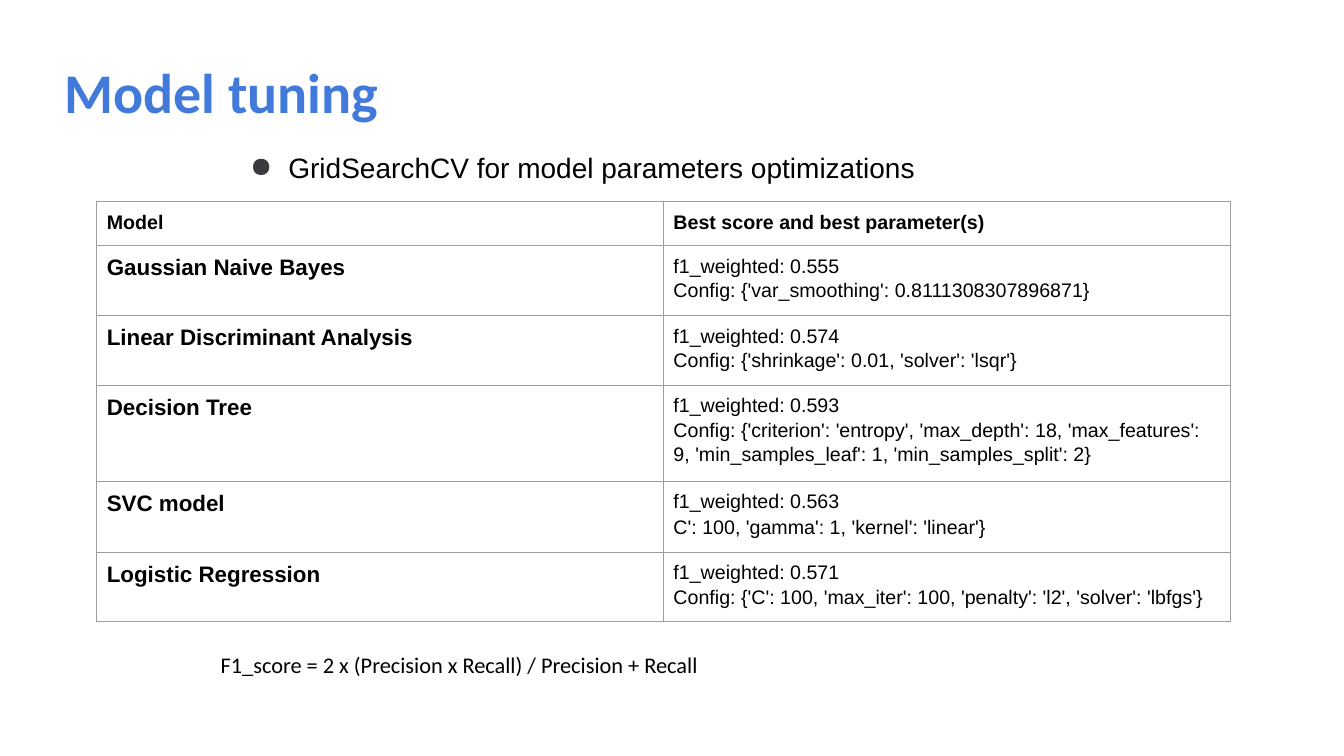
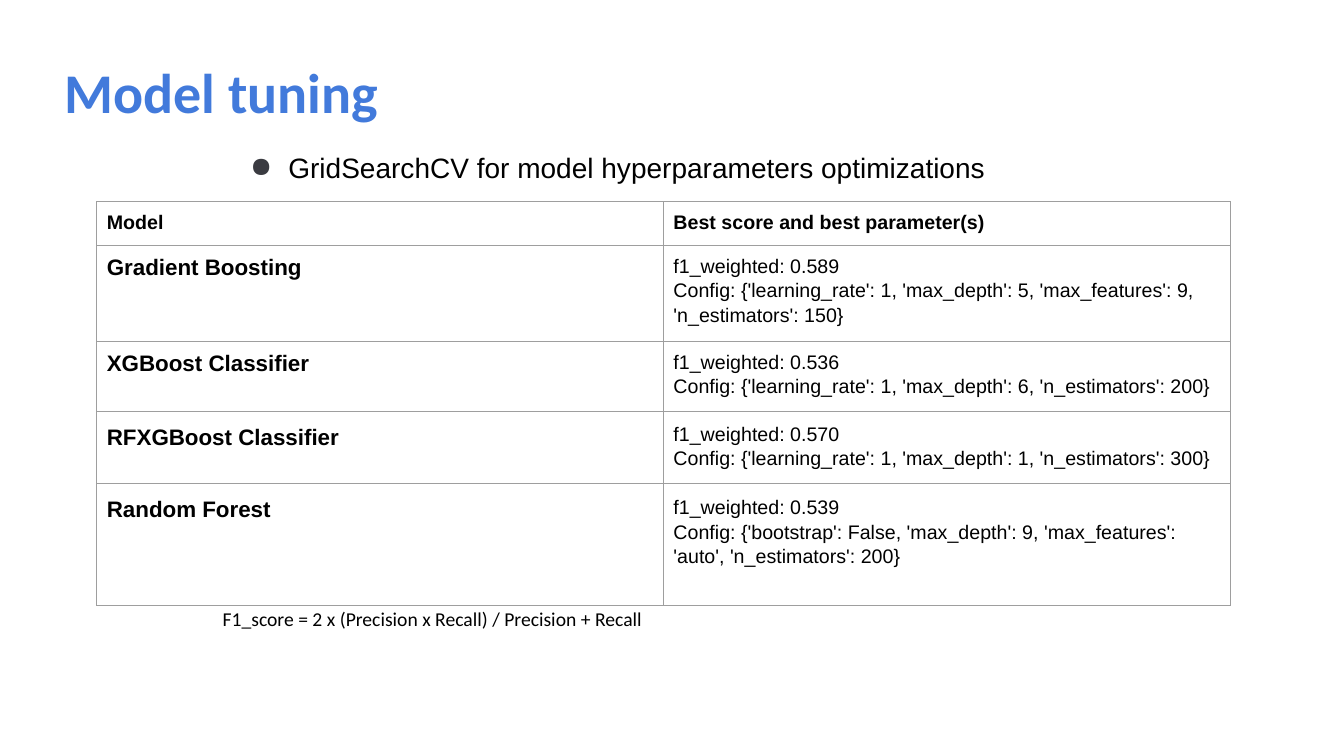
import dataclasses

import lxml.etree
import pptx
import pptx.dml.color
import pptx.enum.text
import pptx.oxml.ns
import pptx.util

EMU_PER_PX = 9144
SLIDE_SIZE = (1333, 750)
TITLE_BOX = (64, 65, 1189, 135)
BULLET_LEFT, BULLET_TOP = 226, 147
BULLET_WIDTH, BULLET_HEIGHT = 1125, 44
RESULTS_LEFT, RESULTS_TOP = 96, 200
COLUMN_WIDTH = 562
HEADER_HEIGHT = 42
INSET = 10

BLUE = "427ADB"
BLACK = "000000"
WHITE = "FFFFFF"
BULLET_GREY = "3A3B41"
BORDER_GREY = "9E9E9E"
BODY_FONT = "Arial"
TITLE_FONT = "Calibri"

TITLE = "Model tuning"
HEADERS = ("Model", "Best score and best parameter(s)")
FORMULA = "F1_score = 2 x (Precision x Recall) / Precision + Recall"


@dataclasses.dataclass
class ModelResult:
    name: str
    score: str
    config: str
    height: int = 69
    name_spacing: float = 1.0
    score_spacing: float = 1.0
    config_spacing: float = 1.11


BASIC_MODELS = [
    ModelResult("Gaussian Naive Bayes", "0.555", "Config: {'var_smoothing': 0.8111308307896871}"),
    ModelResult("Linear Discriminant Analysis", "0.574", "Config: {'shrinkage': 0.01, 'solver': 'lsqr'}"),
    ModelResult(
        "Decision Tree", "0.593",
        "Config: {'criterion': 'entropy', 'max_depth': 18, 'max_features': 9, "
        "'min_samples_leaf': 1, 'min_samples_split': 2}",
        height=95),
    ModelResult("SVC model", "0.563", "C': 100, 'gamma': 1, 'kernel': 'linear'}",
                height=70, config_spacing=1.16),
    ModelResult("Logistic Regression", "0.571",
                "Config: {'C': 100, 'max_iter': 100, 'penalty': 'l2', 'solver': 'lbfgs'}"),
]
ENSEMBLE_MODELS = [
    ModelResult(
        "Gradient Boosting", "0.589",
        "Config: {'learning_rate': 1, 'max_depth': 5, 'max_features': 9, 'n_estimators': 150}",
        height=95),
    ModelResult("XGBoost Classifier", "0.536",
                "Config: {'learning_rate': 1, 'max_depth': 6, 'n_estimators': 200}"),
    ModelResult("RFXGBoost Classifier", "0.570",
                "Config: {'learning_rate': 1, 'max_depth': 1, 'n_estimators': 300}",
                height=71, name_spacing=1.15, score_spacing=1.11),
    ModelResult(
        "Random Forest", "0.539",
        "Config: {'bootstrap': False, 'max_depth': 9, 'max_features': 'auto', 'n_estimators': 200}",
        height=121, name_spacing=1.15, score_spacing=1.16),
]


def px(length):
    return pptx.util.Emu(length * EMU_PER_PX)


def color(hex_string):
    return pptx.dml.color.RGBColor.from_string(hex_string)


def add_xml(parent, tag, **attributes):
    return lxml.etree.SubElement(parent, pptx.oxml.ns.qn(tag), attributes)


def set_insets(holder, horizontal, vertical):
    holder.margin_left = holder.margin_right = px(horizontal)
    holder.margin_top = holder.margin_bottom = px(vertical)


def write(paragraph, text, size, font=BODY_FONT, ink=BLACK, bold=False, spacing=1.0):
    paragraph.text = text
    paragraph.alignment = pptx.enum.text.PP_ALIGN.LEFT
    paragraph.line_spacing = spacing
    paragraph.font.name = font
    paragraph.font.size = pptx.util.Pt(size)
    paragraph.font.bold = bold
    paragraph.font.color.rgb = color(ink)


def add_title(slide):
    title = slide.shapes.title
    title.left, title.top, title.width, title.height = map(px, TITLE_BOX)
    frame = title.text_frame
    set_insets(frame, 0, 0)
    frame.auto_size = pptx.enum.text.MSO_AUTO_SIZE.NONE
    frame.vertical_anchor = pptx.enum.text.MSO_ANCHOR.TOP
    write(frame.paragraphs[0], TITLE, 40, TITLE_FONT, BLUE, bold=True, spacing=0.9)


def format_cell(cell, vertical_inset, border, border_width):
    set_insets(cell, INSET, vertical_inset)
    cell.vertical_anchor = pptx.enum.text.MSO_ANCHOR.TOP
    properties = cell._tc.get_or_add_tcPr()
    for side in ("a:lnL", "a:lnR", "a:lnT", "a:lnB"):
        line = add_xml(properties, side, w=str(pptx.util.Pt(border_width)))
        add_xml(add_xml(line, "a:solidFill"), "a:srgbClr", val=border)
    cell.fill.background()


def add_table(slide, left, top, widths, heights, vertical_inset, border, border_width):
    table = slide.shapes.add_table(
        len(heights), len(widths), px(left), px(top), px(sum(widths)), px(sum(heights))).table
    table.first_row = table.horz_banding = False
    for column, width in zip(table.columns, widths):
        column.width = px(width)
    for row, height in zip(table.rows, heights):
        row.height = px(height)
    for cell in table.iter_cells():
        format_cell(cell, vertical_inset, border, border_width)
    return table


def add_bullet_table(slide, text):
    table = add_table(slide, BULLET_LEFT, BULLET_TOP, [BULLET_WIDTH], [BULLET_HEIGHT], 0, WHITE, 1)
    cell = table.cell(0, 0)
    cell.fill.solid()
    cell.fill.fore_color.rgb = color(WHITE)
    paragraph = cell.text_frame.paragraphs[0]
    properties = paragraph._p.get_or_add_pPr()
    properties.set("marL", str(px(50)))
    properties.set("indent", str(px(-38)))
    add_xml(add_xml(properties, "a:buClr"), "a:srgbClr", val=BULLET_GREY)
    add_xml(properties, "a:buChar", char="●")
    write(paragraph, text, 20, spacing=1.15)


def add_results_table(slide, results):
    heights = [HEADER_HEIGHT] + [result.height for result in results]
    table = add_table(slide, RESULTS_LEFT, RESULTS_TOP, [COLUMN_WIDTH] * len(HEADERS), heights,
                      INSET, BORDER_GREY, 0.75)
    for index, header in enumerate(HEADERS):
        write(table.cell(0, index).text_frame.paragraphs[0], header, 14, bold=True)
    for index, result in enumerate(results, start=1):
        name = table.cell(index, 0).text_frame
        write(name.paragraphs[0], result.name, 16, bold=True, spacing=result.name_spacing)
        details = table.cell(index, 1).text_frame
        write(details.paragraphs[0], f"f1_weighted: {result.score}", 14, spacing=result.score_spacing)
        write(details.add_paragraph(), result.config, 14, spacing=result.config_spacing)


def add_formula(slide, box, size):
    frame = slide.shapes.add_textbox(*map(px, box)).text_frame
    frame.word_wrap = True
    set_insets(frame, INSET, INSET)
    write(frame.paragraphs[0], FORMULA, size, TITLE_FONT)


def add_tuning_slide(presentation, bullet, results, formula_box, formula_size):
    slide = presentation.slides.add_slide(presentation.slide_layouts.get_by_name("Title Only"))
    add_title(slide)
    add_bullet_table(slide, bullet)
    add_formula(slide, formula_box, formula_size)
    add_results_table(slide, results)


def main():
    presentation = pptx.Presentation()
    presentation.slide_width, presentation.slide_height = map(px, SLIDE_SIZE)
    add_tuning_slide(presentation, "GridSearchCV for model parameters optimizations",
                     BASIC_MODELS, (209, 636, 844, 47), 16)
    add_tuning_slide(presentation, "GridSearchCV for model hyperparameters optimizations",
                     ENSEMBLE_MODELS, (211, 592, 844, 44), 14)
    presentation.save("out.pptx")


if __name__ == "__main__":
    main()
